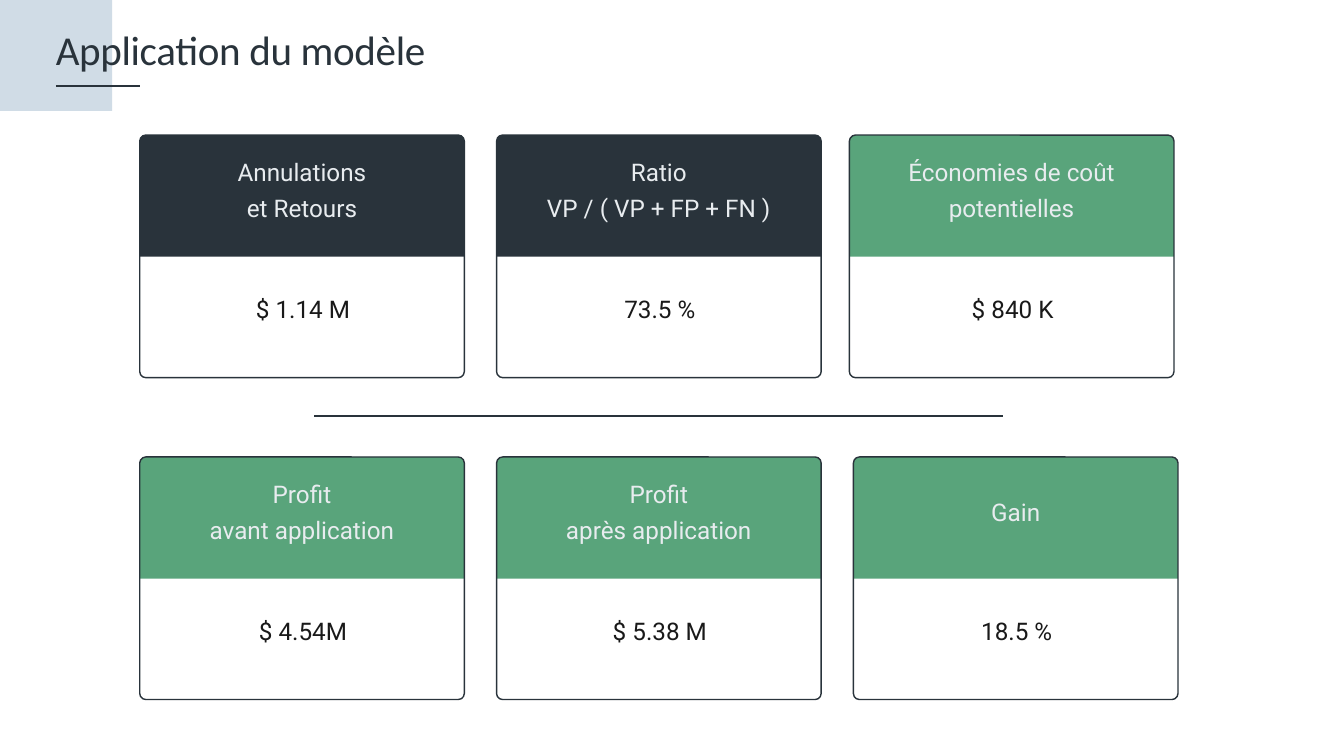
from lxml.etree import SubElement
from pptx import Presentation
from pptx.dml.color import RGBColor
from pptx.enum.shapes import MSO_CONNECTOR, MSO_SHAPE
from pptx.enum.text import MSO_ANCHOR, MSO_AUTO_SIZE, PP_ALIGN
from pptx.oxml.ns import qn
from pptx.util import Inches, Pt

DARK, GREEN, PALE = "29333B", "59A47B", "D0DCE6"
WHITE, LIGHT, INK = "FFFFFF", "E8ECEF", "191919"

TITLE = "Application du modèle"
ROWS = [
    (2.01, [
        (2.08, DARK, "Annulations\net Retours", "$ 1.14 M"),
        (7.39, DARK, "Ratio\nVP / ( VP + FP + FN )", "73.5 %"),
        (12.64, GREEN, "Économies de coût potentielles", "$ 840 K"),
    ]),
    (6.8, [
        (2.08, GREEN, "Profit\navant application", "$ 4.54M"),
        (7.39, GREEN, "Profit\naprès application", "$ 5.38 M"),
        (12.7, GREEN, "Gain", "18.5 %"),
    ]),
]
RULES = [(0.83, 2.08, 1.28, 2.25), (4.68, 14.93, 6.19, 1.5)]

CARD_W, CARD_H, HEAD_H = 4.83, 3.61, 1.81
VALUE_W, VALUE_H = 4.48, 1.6
VALUE_X, VALUE_Y = 0.19, 1.89
RADIUS, PAD, LIFT = 0.09, 0.17, 0.32


def color(code):
    return RGBColor.from_string(code)


def add_box(slide, kind, x, y, w, h, fill=None, line=None):
    box = slide.shapes.add_shape(kind, Inches(x), Inches(y), Inches(w), Inches(h))
    box.shadow.inherit = False
    if len(box.adjustments):
        box.adjustments[0] = RADIUS / min(w, h)
    if fill:
        box.fill.solid()
        box.fill.fore_color.rgb = color(fill)
    else:
        box.fill.background()
    if line:
        box.line.color.rgb = color(line)
        box.line.width = Pt(1.5)
    else:
        box.line.fill.background()
    return box


def style(para, font, size, tone, space, align):
    para.alignment = align
    para.line_spacing = Pt(space)
    for run in para.runs:
        run.font.name = font
        run.font.size = Pt(size)
        run.font.color.rgb = color(tone)


def write(box, text, tone):
    frame = box.text_frame
    frame.text = text
    frame.word_wrap = True
    frame.vertical_anchor = MSO_ANCHOR.MIDDLE
    frame.margin_left = frame.margin_right = frame.margin_top = Inches(PAD)
    frame.margin_bottom = Inches(PAD + LIFT)
    for para in frame.paragraphs:
        style(para, "Roboto", 26, tone, 39, PP_ALIGN.CENTER)


def add_card(slide, x, y, fill, label, value):
    head = add_box(slide, MSO_SHAPE.ROUND_2_SAME_RECTANGLE, x, y, CARD_W, HEAD_H, fill)
    write(head, label, LIGHT)
    body = add_box(slide, MSO_SHAPE.ROUNDED_RECTANGLE, x + VALUE_X, y + VALUE_Y,
                   VALUE_W, VALUE_H, WHITE)
    write(body, value, INK)
    add_box(slide, MSO_SHAPE.ROUNDED_RECTANGLE, x, y, CARD_W, CARD_H, line=DARK)


def add_rule(slide, left, right, y, width):
    rule = slide.shapes.add_connector(
        MSO_CONNECTOR.STRAIGHT, Inches(left), Inches(y), Inches(right), Inches(y))
    rule.line.color.rgb = color(DARK)
    rule.line.width = Pt(width)
    SubElement(rule.element.spPr, qn("a:effectLst"))


def set_title(slide):
    title = slide.shapes.title
    title.left, title.top = Inches(0.83), Inches(0.42)
    title.width, title.height = Inches(9.78), Inches(0.7)
    frame = title.text_frame
    frame.text = TITLE
    frame.word_wrap = True
    frame.auto_size = MSO_AUTO_SIZE.NONE
    frame.vertical_anchor = MSO_ANCHOR.TOP
    frame.margin_left = frame.margin_right = 0
    frame.margin_top = frame.margin_bottom = 0
    para = frame.paragraphs[0]
    style(para, "Calibri", 44, DARK, 48.4, PP_ALIGN.LEFT)
    para.runs[0].font._element.set("spc", "-40")
    slide.shapes.element.append(title.element)


def main():
    deck = Presentation()
    deck.slide_width, deck.slide_height = Inches(20), Inches(11.25)
    slide = deck.slides.add_slide(deck.slide_layouts[5])
    add_box(slide, MSO_SHAPE.RECTANGLE, 0, -0.02, 1.67, 1.67, PALE)
    for top, cards in ROWS:
        for left, fill, label, value in cards:
            add_card(slide, left, top, fill, label, value)
    for rule in RULES:
        add_rule(slide, *rule)
    set_title(slide)
    deck.save("out.pptx")


if __name__ == "__main__":
    main()
